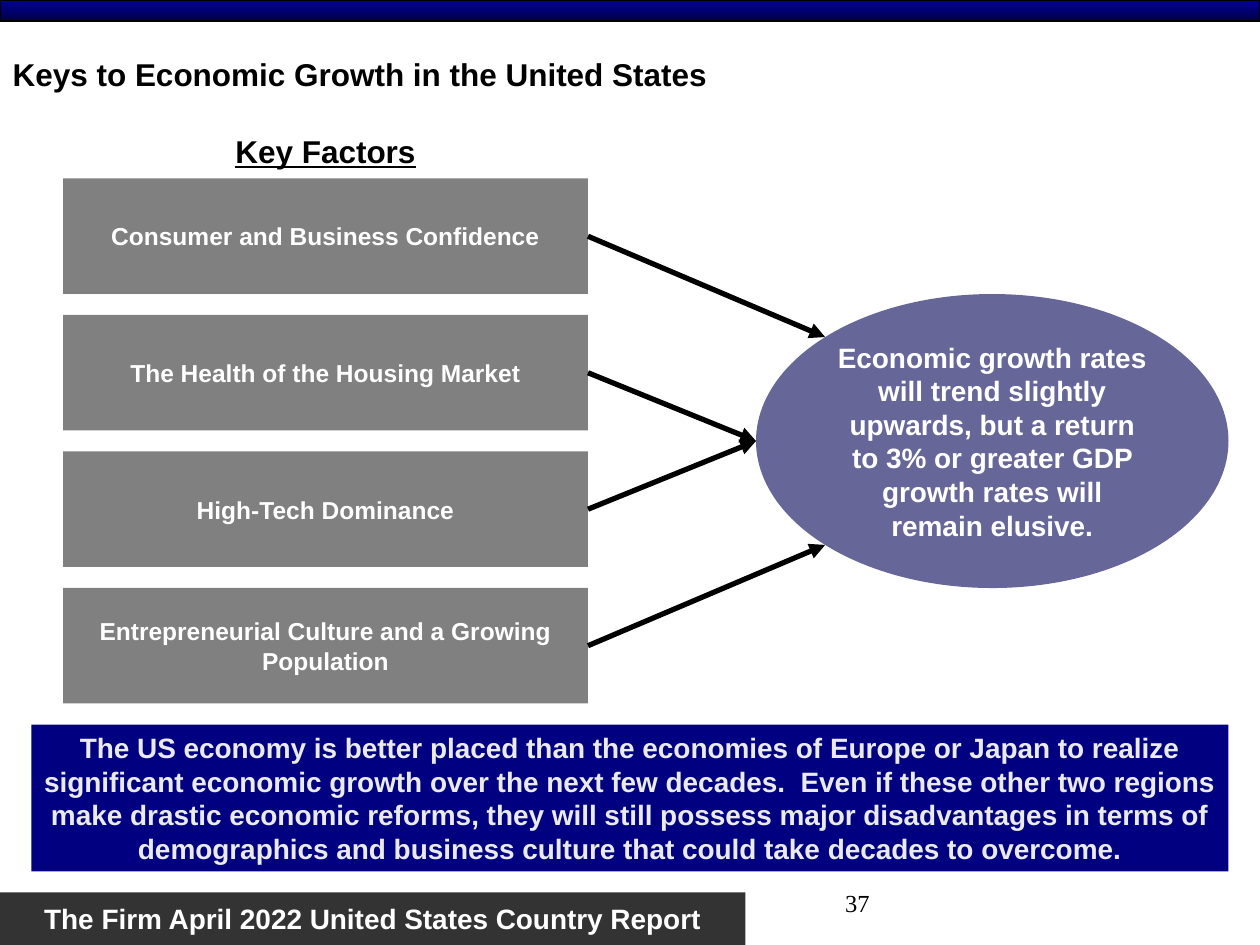
import math

from pptx import Presentation, util as u
from pptx.dml.color import RGBColor
from pptx.enum import shapes, text
from pptx.oxml import ns, xmlchemy

COLORS = {
    "black": "000000", "white": "FFFFFF", "factor": "808080",
    "outcome": "666699", "summary": "000080", "summary_text": "EAEAEA",
    "footer": "333333", "bar_top": "000099", "bar_bottom": "000047",
}
CELL = u.Inches(1) / 12  # the slide is a grid of 120 columns by 90 rows
RIGHT_SIDE = 3


def color(name):
    return RGBColor.from_string(COLORS[name])


def cells(*counts):
    return [u.Emu(round(count * CELL)) for count in counts]


def write(frame, words, size=16, ink="white", font="Arial", bold=True, underline=None,
          align=text.PP_ALIGN.CENTER, anchor=text.MSO_ANCHOR.MIDDLE, wrap=True):
    frame.word_wrap = wrap
    frame.vertical_anchor = anchor
    paragraph = frame.paragraphs[0]
    paragraph.alignment = align
    run = paragraph.add_run()
    run.text = words
    run.font.name, run.font.size = font, u.Pt(size)
    run.font.bold, run.font.underline = bold, underline
    run.font.color.rgb = color(ink)


class SlideBuilder:
    """Draws on one slide; every place is given in grid columns and rows."""

    def __init__(self):
        self.deck = Presentation()
        self.deck.slide_width, self.deck.slide_height = cells(120, 90)
        self.slide = self.deck.slides.add_slide(self.deck.slide_layouts[5])

    def title(self, words, place):
        holder = self.slide.shapes.title
        holder.left, holder.top, holder.width, holder.height = cells(*place)
        write(holder.text_frame, words, size=18, ink="black", align=text.PP_ALIGN.LEFT)

    def label(self, words, place, **style):
        box = self.slide.shapes.add_textbox(*cells(*place))
        write(box.text_frame, words, ink="black", anchor=text.MSO_ANCHOR.TOP, **style)

    def block(self, words, place, fill, kind=shapes.MSO_SHAPE.RECTANGLE, **style):
        block = self.slide.shapes.add_shape(kind, *cells(*place))
        block.shadow.inherit = False
        block.fill.solid()
        block.fill.fore_color.rgb = color(fill)
        block.line.fill.background()
        write(block.text_frame, words, **style)
        return block

    def gradient_bar(self, place, *stops):
        bar = self.slide.shapes.add_shape(shapes.MSO_SHAPE.RECTANGLE, *cells(*place))
        bar.shadow.inherit = False
        bar.fill.gradient()
        bar.fill.gradient_angle = 270
        for stop, name in zip(bar.fill.gradient_stops, stops):
            stop.color.rgb = color(name)
        bar.line.color.rgb = color("black")
        bar.line.width = u.Pt(0.75)

    def arrow(self, source, tip):
        """Run an arrow from the right side of a block to a grid point."""
        arrow = self.slide.shapes.add_connector(
            shapes.MSO_CONNECTOR.STRAIGHT, 0, 0, *cells(*tip))
        arrow.begin_connect(source, RIGHT_SIDE)
        arrow.line.color.rgb = color("black")
        arrow.line.width = u.Pt(3)
        head = xmlchemy.OxmlElement("a:tailEnd")
        head.set("type", "triangle")
        properties = arrow.element.find(ns.qn("p:spPr"))
        properties.find(ns.qn("a:ln")).append(head)
        properties.append(xmlchemy.OxmlElement("a:effectLst"))


def main():
    page = SlideBuilder()
    page.gradient_bar((0, 0, 120, 2), "bar_top", "bar_bottom")
    page.block("The Firm April 2022 United States Country Report", (0, 85, 71, 5),
               "footer", wrap=False)
    page.label("37", (59, 84, 25, 6), size=14, font="Times New Roman", bold=False,
               align=text.PP_ALIGN.RIGHT)
    page.title("Keys to Economic Growth in the United States", (0, 3, 72, 8))
    page.label("Key Factors", (6, 12, 50, 4.8), size=18, underline=True)

    factors = [
        page.block(words, (6, 17 + 13 * row, 50, 11), "factor", size=14)
        for row, words in enumerate((
            "Consumer and Business Confidence",
            "The Health of the Housing Market",
            "High-Tech Dominance",
            "Entrepreneurial Culture and a Growing Population",
        ))
    ]

    left, top, width, height = outcome = (72, 28, 45, 28)
    page.block("Economic growth rates will trend slightly upwards, but a return to 3% "
               "or greater GDP growth rates will remain elusive.",
               outcome, "outcome", kind=shapes.MSO_SHAPE.OVAL)
    for factor, degrees in zip(factors, (225, 180, 180, 135)):
        angle = math.radians(degrees)
        page.arrow(factor, (left + width / 2 * (1 + math.cos(angle)),
                            top + height / 2 * (1 + math.sin(angle))))

    page.block("The US economy is better placed than the economies of Europe or Japan "
               "to realize significant economic growth over the next few decades.  Even "
               "if these other two regions make drastic economic reforms, they will "
               "still possess major disadvantages in terms of demographics and business "
               "culture that could take decades to overcome.",
               (3, 69, 114, 14), "summary", ink="summary_text")
    page.deck.save("out.pptx")


if __name__ == "__main__":
    main()
